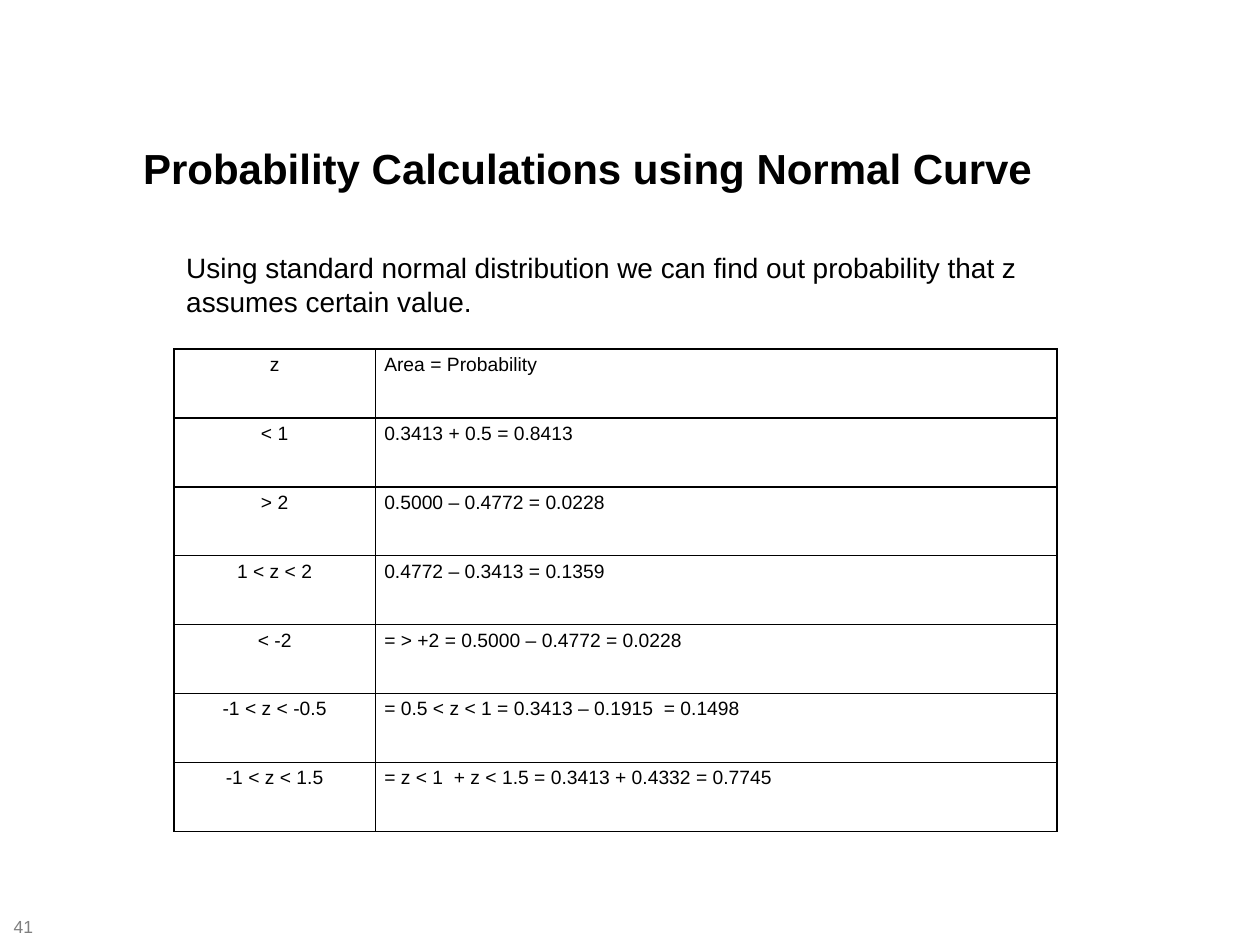
import lxml.etree
import pptx
import pptx.dml.color
import pptx.enum.text
import pptx.oxml.ns
import pptx.util

Inches = pptx.util.Inches
Pt = pptx.util.Pt
ALIGN = pptx.enum.text.PP_ALIGN
ANCHOR = pptx.enum.text.MSO_ANCHOR

BLACK = pptx.dml.color.RGBColor(0x00, 0x00, 0x00)
GREY = pptx.dml.color.RGBColor(0x7F, 0x7F, 0x7F)

TITLE_FORMAT = {"name": "Arial", "size": Pt(24), "bold": True}
BODY_FORMAT = {"name": "Arial", "size": Pt(16)}
CELL_FORMAT = {"name": "Arial", "size": Pt(11), "bold": False}
NUMBER_FORMAT = {"name": "Arial", "size": Pt(10)}
CELL_MARGINS = {
    "margin_left": Inches(0.07),
    "margin_right": Inches(0.07),
    "margin_top": Inches(0.04),
    "margin_bottom": Inches(0.04),
}

COLUMN_WIDTHS = (1.6, 5.41)
COLUMN_ALIGNMENTS = (ALIGN.CENTER, ALIGN.LEFT)
PROBABILITIES = (
    ("z", "Area = Probability"),
    ("< 1", "0.3413 + 0.5 = 0.8413"),
    ("> 2", "0.5000 – 0.4772 = 0.0228"),
    ("1 < z < 2", "0.4772 – 0.3413 = 0.1359"),
    ("< -2", "= > +2 = 0.5000 – 0.4772 = 0.0228"),
    ("-1 < z < -0.5", "= 0.5 < z < 1 = 0.3413 – 0.1915  = 0.1498"),
    ("-1 < z < 1.5", "= z < 1  + z < 1.5 = 0.3413 + 0.4332 = 0.7745"),
)


def write_text(frame, text, font_format, color, alignment):
    para = frame.paragraphs[0]
    para.alignment = alignment
    span = para.add_run()
    span.text = text
    for name, value in font_format.items():
        setattr(span.font, name, value)
    span.font.color.rgb = color


def add_text(page, place, text, font_format, color=BLACK,
             alignment=ALIGN.LEFT, anchor=ANCHOR.TOP):
    box = page.shapes.add_textbox(*map(Inches, place))
    box.text_frame.word_wrap = True
    box.text_frame.vertical_anchor = anchor
    write_text(box.text_frame, text, font_format, color, alignment)


def add_borders(cell, color, width):
    properties = cell._tc.get_or_add_tcPr()
    qualified = pptx.oxml.ns.qn
    for position, side in enumerate(("a:lnL", "a:lnR", "a:lnT", "a:lnB")):
        line = lxml.etree.Element(qualified(side), w=str(width))
        fill = lxml.etree.SubElement(line, qualified("a:solidFill"))
        lxml.etree.SubElement(fill, qualified("a:srgbClr"), val=str(color))
        properties.insert(position, line)


def add_probability_table(page, place):
    table = page.shapes.add_table(
        len(PROBABILITIES), len(COLUMN_WIDTHS), *map(Inches, place)).table
    table.first_row = False
    table.horz_banding = False
    for column, width in zip(table.columns, COLUMN_WIDTHS):
        column.width = Inches(width)
    for row, texts in zip(table.rows, PROBABILITIES):
        for cell, text, alignment in zip(row.cells, texts, COLUMN_ALIGNMENTS):
            for name, value in CELL_MARGINS.items():
                setattr(cell, name, value)
            cell.fill.background()
            add_borders(cell, BLACK, Pt(1))
            write_text(cell.text_frame, text, CELL_FORMAT, BLACK, alignment)


def main():
    deck = pptx.Presentation()
    deck.slide_width = Inches(10)
    deck.slide_height = Inches(7.5)
    page = deck.slides.add_slide(deck.slide_layouts[6])
    add_text(page, (0.01, 7.27, 0.39, 0.16), "41", NUMBER_FORMAT,
             color=GREY, anchor=ANCHOR.MIDDLE)
    add_text(page, (0.51, 1.08, 8.31, 0.44),
             "Probability Calculations using Normal Curve",
             TITLE_FORMAT, alignment=ALIGN.CENTER)
    add_text(page, (1.38, 1.94, 6.96, 0.64),
             "Using standard normal distribution we can find out "
             "probability that z assumes certain value.", BODY_FORMAT)
    add_probability_table(page, (1.38, 2.77, sum(COLUMN_WIDTHS), 3.83))
    deck.save("out.pptx")


if __name__ == "__main__":
    main()
